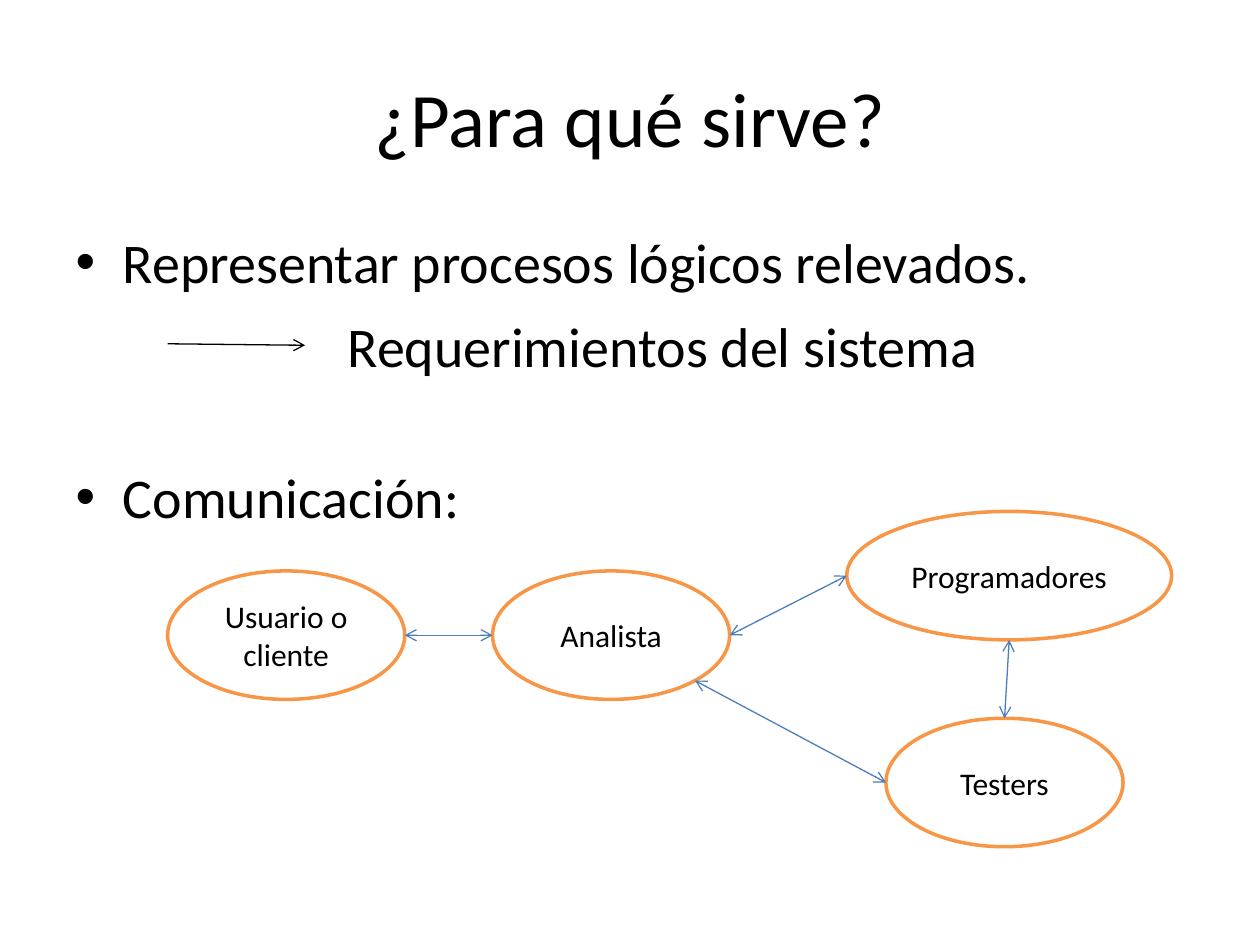
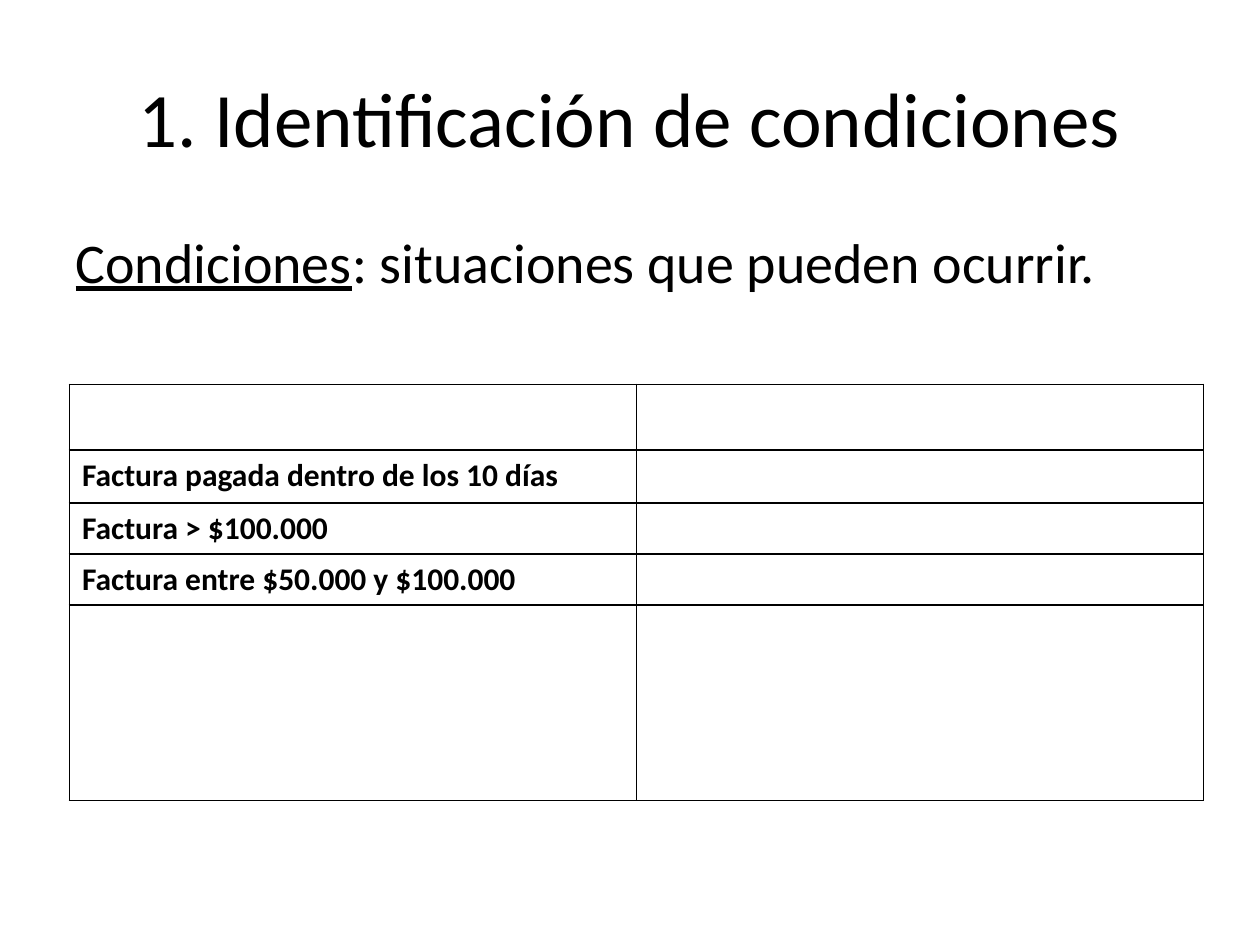
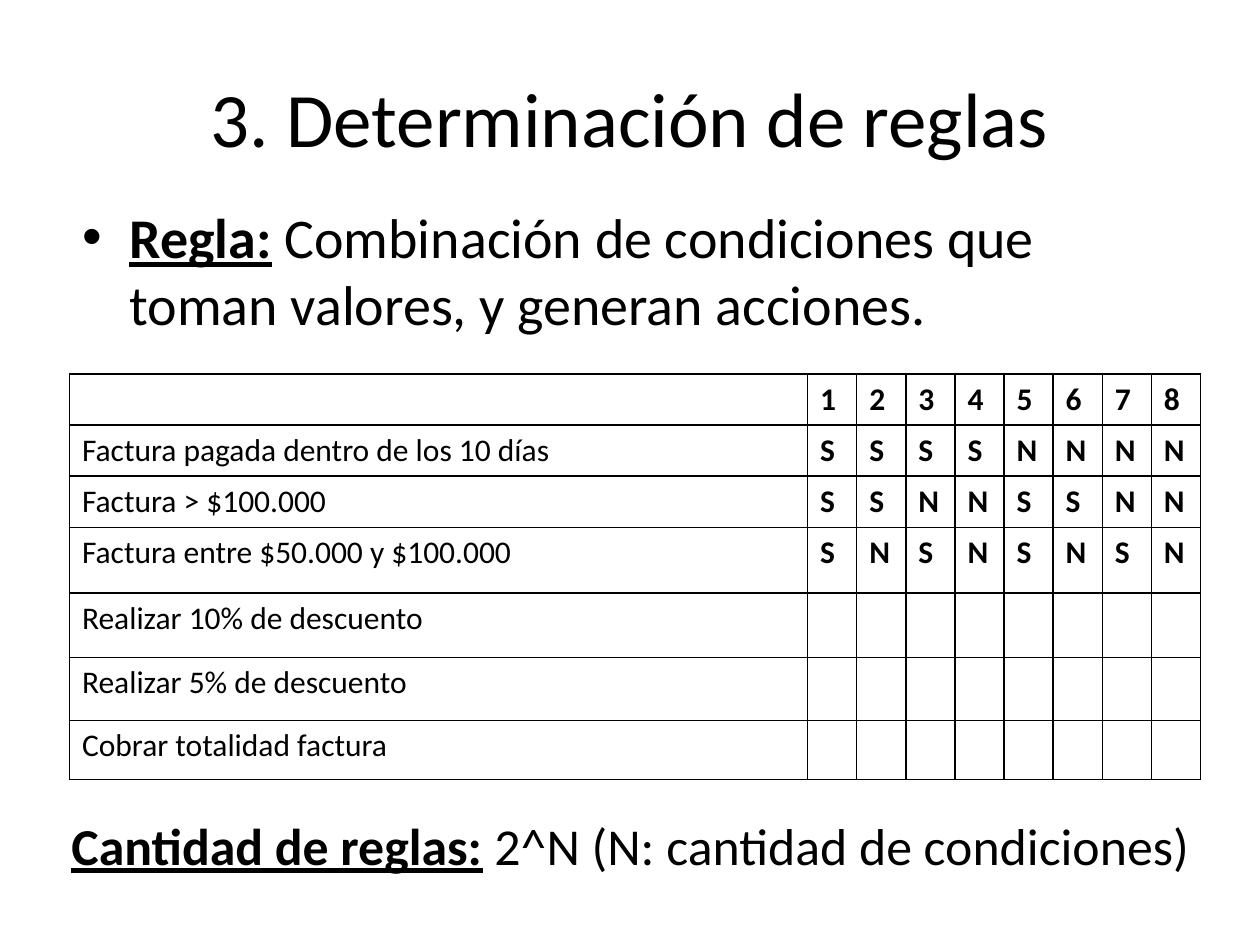
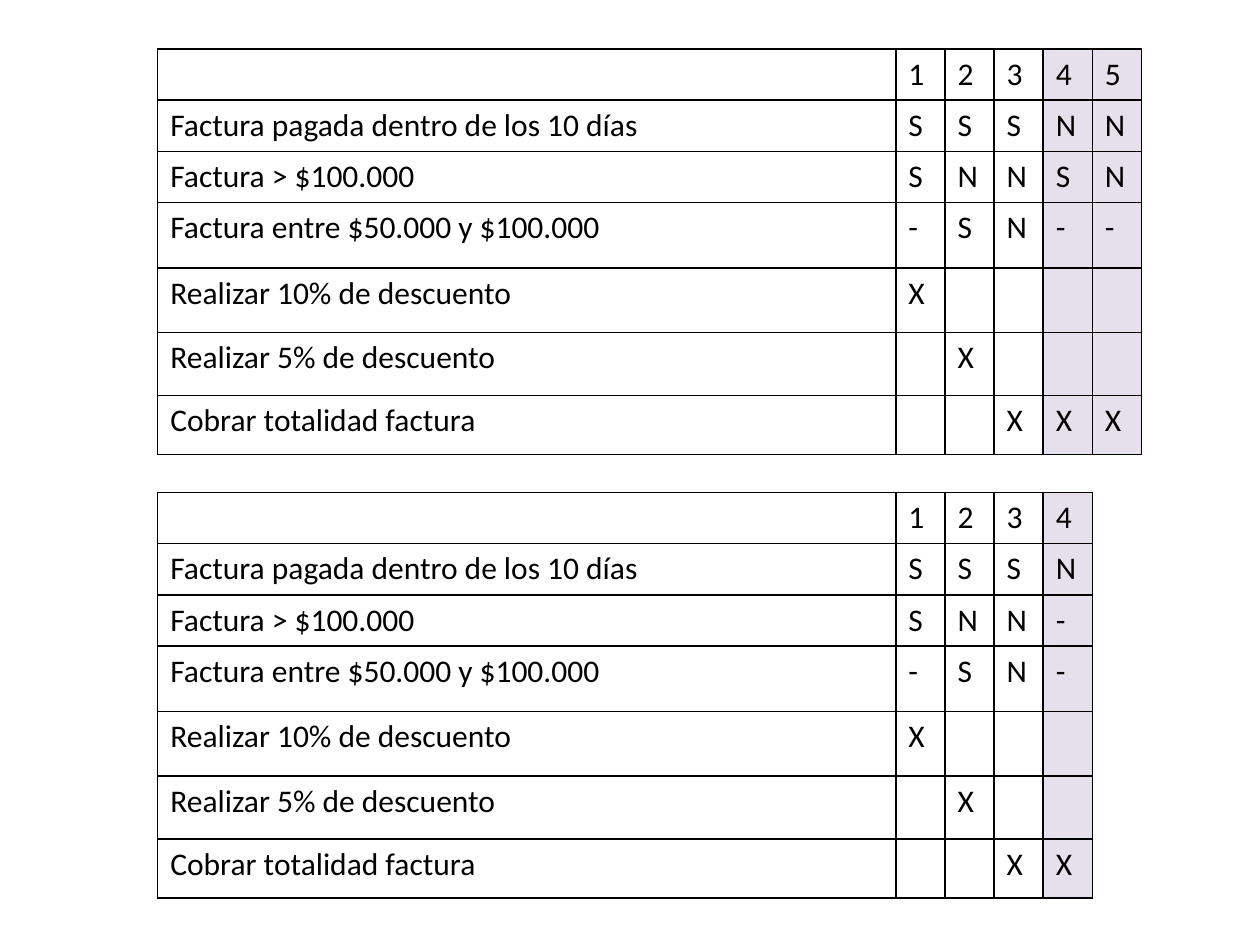
from dataclasses import dataclass
from math import sqrt

from lxml import etree
from pptx import Presentation
from pptx import util as u
from pptx.dml.color import RGBColor
from pptx.enum import shapes, text
from pptx.oxml import ns

Cm, Pt = u.Cm, u.Pt

COLORS = {
    "ink": "000000",
    "paper": "FFFFFF",
    "outline": "F79646",
    "link": "4B7EBC",
    "shade": "E6E0EC",
}
FONT = "Calibri"
STRONG = {"bold": True, "underline": True}
TITLE_BOX = (1.27, 0.76, 22.86, 3.18)
LAYOUT_CONTENT, LAYOUT_BLANK = 1, 6

CONDITIONS = ["Factura pagada dentro de los 10 días", "Factura > $100.000",
              "Factura entre $50.000 y $100.000"]
ACTIONS = ["Realizar 10% de descuento", "Realizar 5% de descuento",
           "Cobrar totalidad factura"]
LABELS = ["", *CONDITIONS, *ACTIONS]
LABEL_WIDTH, RULE_WIDTH = 14.88, 0.99
RULE_HEIGHTS = [1.02, 1.02, 1.02, 1.32, 1.3, 1.27, 1.19]


@dataclass(frozen=True)
class Oval:
    label: str
    left: float
    top: float
    width: float = 4.78
    height: float = 2.59

    def edge(self, across: float, down: float) -> tuple[float, float]:
        """Point on the outline in the direction of a unit vector."""
        return (self.left + self.width / 2 * (1 + across),
                self.top + self.height / 2 * (1 + down))


@dataclass(frozen=True)
class Grid:
    left: float
    top: float
    widths: list[float]
    heights: list[float]
    rows: list[list[str]]
    bold: tuple[int, ...] = ()
    shaded: tuple[int, ...] = ()


# Shared helpers
def color(name: str) -> RGBColor:
    return RGBColor.from_string(COLORS[name])


def place(shape, left: float, top: float, width: float, height: float) -> None:
    lengths = {"left": left, "top": top, "width": width, "height": height}
    for name, value in lengths.items():
        setattr(shape, name, Cm(value))


def add_span(para, words: str, size: float, **formats) -> None:
    span = para.add_run()
    span.text = words
    for name, value in {"name": FONT, "size": Pt(size), **formats}.items():
        setattr(span.font, name, value)
    span.font.color.rgb = color("ink")


def add_page(deck, title: str = ""):
    page = deck.slides.add_slide(deck.slide_layouts[LAYOUT_CONTENT if title else LAYOUT_BLANK])
    if title:
        place(page.shapes.title, *TITLE_BOX)
        frame = page.shapes.title.text_frame
        frame.vertical_anchor = text.MSO_ANCHOR.MIDDLE
        frame.paragraphs[0].alignment = text.PP_ALIGN.CENTER
        add_span(frame.paragraphs[0], title, 44)
    return page


def body_frame(page, *area: float):
    body = page.placeholders[1]
    place(body, *area)
    body.text_frame.auto_size = text.MSO_AUTO_SIZE.NONE
    return body.text_frame


def add_note(page, area: tuple[float, ...]):
    box = page.shapes.add_textbox(*map(Cm, area))
    box.text_frame.word_wrap = True
    return box.text_frame.paragraphs[0]


def add_oval(page, oval: Oval) -> None:
    shape = page.shapes.add_shape(shapes.MSO_SHAPE.OVAL, Cm(oval.left), Cm(oval.top),
                                  Cm(oval.width), Cm(oval.height))
    shape.shadow.inherit = False
    shape.fill.solid()
    shape.fill.fore_color.rgb = color("paper")
    shape.line.color.rgb = color("outline")
    shape.line.width = Pt(2)
    frame = shape.text_frame
    frame.word_wrap = True
    frame.vertical_anchor = text.MSO_ANCHOR.MIDDLE
    frame.paragraphs[0].alignment = text.PP_ALIGN.CENTER
    add_span(frame.paragraphs[0], oval.label, 18)


def add_arrow(page, start: tuple[float, float], end: tuple[float, float],
              shade: str = "link", ends: tuple[str, ...] = ("headEnd", "tailEnd")) -> None:
    arrow = page.shapes.add_connector(shapes.MSO_CONNECTOR.STRAIGHT,
                                      *map(Cm, (*start, *end)))
    arrow.line.color.rgb = color(shade)
    arrow.line.width = Pt(0.75)
    line = arrow.line._get_or_add_ln()
    for name in ends:
        etree.SubElement(line, ns.qn(f"a:{name}"), type="arrow")
    etree.SubElement(arrow._element.spPr, ns.qn("a:effectLst"))


def add_borders(cell) -> None:
    props = cell._tc.get_or_add_tcPr()
    for side in "LRTB":
        line = etree.SubElement(props, ns.qn(f"a:ln{side}"), w=str(Pt(1)))
        fill = etree.SubElement(line, ns.qn("a:solidFill"))
        etree.SubElement(fill, ns.qn("a:srgbClr"), val=COLORS["ink"])


def add_grid(page, grid: Grid) -> None:
    area = (grid.left, grid.top, sum(grid.widths), sum(grid.heights))
    table = page.shapes.add_table(len(grid.heights), len(grid.widths),
                                  *map(Cm, area)).table
    table.first_row = table.horz_banding = False
    for column, width in zip(table.columns, grid.widths):
        column.width = Cm(width)
    for row, height, words in zip(table.rows, grid.heights, grid.rows):
        row.height = Cm(height)
        for index, (cell, word) in enumerate(zip(row.cells, words)):
            add_borders(cell)
            if index in grid.shaded:
                cell.fill.solid()
                cell.fill.fore_color.rgb = color("shade")
            else:
                cell.fill.background()
            if word.strip():
                add_span(cell.text_frame.paragraphs[0], word, 18, bold=index in grid.bold)


def rule_grid(left: float, top: float, marks: list[str], **options) -> Grid:
    """Decision table: one string of marks per row, one letter per rule."""
    count = len(marks[0])
    rows = [[label, *line.ljust(count)] for label, line in zip(LABELS, marks)]
    return Grid(left, top, [LABEL_WIDTH] + [RULE_WIDTH] * count, RULE_HEIGHTS, rows, **options)


# Slides
def purpose_page(deck) -> None:
    page = add_page(deck, "¿Para qué sirve?")
    frame = body_frame(page, 1.27, 4.45, 22.86, 12.57)
    add_span(frame.paragraphs[0], "Representar procesos lógicos relevados.", 32)
    para = frame.add_paragraph()
    para.space_before = Pt(96)
    add_span(para, "Comunicación:", 32)

    add_arrow(page, (3.38, 6.93), (6.15, 6.96), "ink", ("tailEnd",))
    add_span(add_note(page, (6.76, 6.15, 14.3, 1.78)), "Requerimientos del sistema", 32)

    client = Oval("Usuario o cliente", 3.38, 11.51)
    analyst = Oval("Analista", 9.93, 11.51)
    testers = Oval("Testers", 17.86, 14.48)
    coders = Oval("Programadores", 17.07, 10.31, 6.55)
    for oval in (client, analyst, testers, coders):
        add_oval(page, oval)

    left, right, top, bottom = (-1, 0), (1, 0), (0, -1), (0, 1)
    corner = (sqrt(0.5), sqrt(0.5))
    for source, leave, target, arrive in (
        (client, right, analyst, left),
        (analyst, right, coders, left),
        (analyst, corner, testers, left),
        (coders, bottom, testers, top),
    ):
        add_arrow(page, source.edge(*leave), target.edge(*arrive))


def conditions_page(deck) -> None:
    page = add_page(deck, "1. Identificación de condiciones")
    para = body_frame(page, 1.27, 4.45, 22.86, 1.9).paragraphs[0]
    props = para._p.get_or_add_pPr()
    for name in ("marL", "indent"):
        props.set(name, "0")
    etree.SubElement(props, ns.qn("a:buNone"))
    add_span(para, "Condiciones", 32, underline=True)
    add_span(para, ": situaciones que pueden ocurrir.", 32)
    rows = [[label, ""] for label in ("", *CONDITIONS, "")]
    add_grid(page, Grid(1.4, 7.75, [11.43] * 2, [1.32, 1.07, 1.02, 1.02, 3.94], rows, bold=(0,)))


def rules_page(deck) -> None:
    page = add_page(deck, "3. Determinación de reglas")
    para = body_frame(page, 1.4, 3.96, 22.35, 2.97).paragraphs[0]
    add_span(para, "Regla:", 32, **STRONG)
    add_span(para, " Combinación de condiciones que toman valores, y generan acciones.", 32)
    marks = ["12345678", "SSSSNNNN", "SSNNSSNN", "SNSNSNSN", "", "", ""]
    add_grid(page, rule_grid(1.4, 7.54, marks, bold=tuple(range(1, 9))))
    para = add_note(page, (1.19, 16.28, 24.21, 2.18))
    add_span(para, "Cantidad de reglas:", 29.6, **STRONG)
    add_span(para, " 2^N (N: cantidad de condiciones)", 29.6)


def reduction_page(deck) -> None:
    page = add_page(deck)
    five_rules = ["12345", "SSSNN", "SNNSN", "-SN--", "X", " X", "  XXX"]
    four_rules = ["1234", "SSSN", "SNN-", "-SN-", "X", " X", "  XX"]
    add_grid(page, rule_grid(3.18, 0.99, five_rules, shaded=(4, 5)))
    add_grid(page, rule_grid(3.18, 9.93, four_rules, shaded=(4,)))


def main() -> None:
    deck = Presentation()
    deck.slide_width, deck.slide_height = Cm(25.4), Cm(19.05)
    for build in (purpose_page, conditions_page, rules_page, reduction_page):
        build(deck)
    deck.save("out.pptx")


if __name__ == "__main__":
    main()
